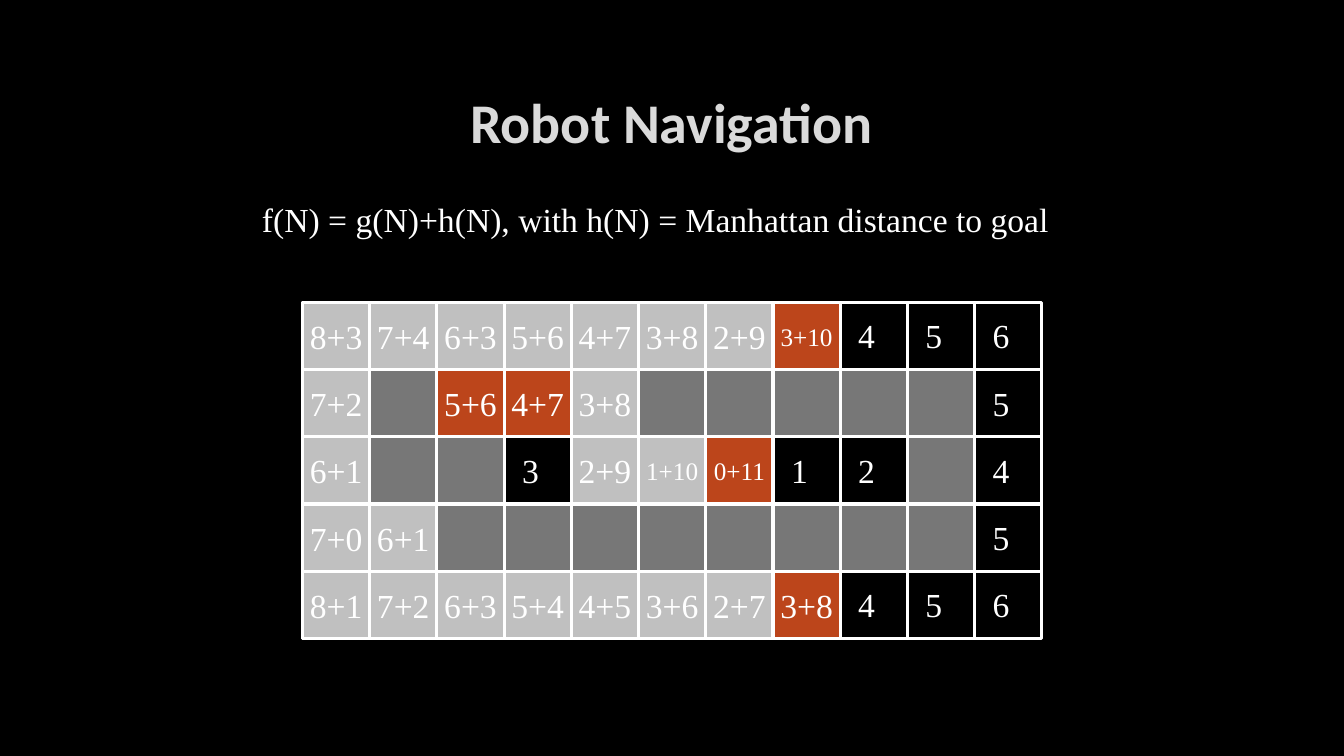
"""Build the Robot Navigation slide: a grid maze with f = g + h cell costs."""
from lxml import etree
from pptx import Presentation
from pptx.dml.color import RGBColor
from pptx.enum.shapes import MSO_CONNECTOR, MSO_SHAPE
from pptx.enum.text import MSO_ANCHOR, MSO_AUTO_SIZE, PP_ALIGN
from pptx.oxml.ns import qn
from pptx.util import Inches, Pt

BLACK = RGBColor(0x00, 0x00, 0x00)
WHITE = RGBColor(0xFF, 0xFF, 0xFF)
TITLE_GRAY = RGBColor(0xDA, 0xDA, 0xDA)
WALL_GRAY = RGBColor(0x77, 0x77, 0x77)
VISITED_GRAY = RGBColor(0xC0, 0xC0, 0xC0)
FRONTIER_ORANGE = RGBColor(0xBC, 0x45, 0x1B)

LEFT, TOP, CELL = 3, 3, 2 / 3
WALL, FRONTIER = "#", "*"
MAZE = [row.split() for row in (
    "8+3 7+4 6+3 5+6 4+7 3+8 2+9 *3+10 4 5 6",
    "7+2 # *5+6 *4+7 3+8 # # # # # 5",
    "6+1 # # 3 2+9 1+10 *0+11 1 2 # 4",
    "7+0 6+1 # # # # # # # # 5",
    "8+1 7+2 6+3 5+4 4+5 3+6 2+7 *3+8 4 5 6",
)]
RIGHT = LEFT + len(MAZE[0]) * CELL
BOTTOM = TOP + len(MAZE) * CELL

presentation = Presentation()
presentation.slide_width = Inches(13.33)
presentation.slide_height = Inches(7.5)
slide = presentation.slides.add_slide(presentation.slide_layouts[5])
slide.background.fill.solid()
slide.background.fill.fore_color.rgb = BLACK


def write_text(shape, text, size, alignment=PP_ALIGN.LEFT):
    frame = shape.text_frame
    frame.text = text
    frame.word_wrap = False
    paragraph = frame.paragraphs[0]
    paragraph.alignment = alignment
    paragraph.font.name = "Times New Roman"
    paragraph.font.size = Pt(size)
    paragraph.font.color.rgb = WHITE


def add_box(left, top, width, height, color=None):
    box = slide.shapes.add_shape(
        MSO_SHAPE.RECTANGLE, Inches(left), Inches(top), Inches(width), Inches(height))
    box.shadow.inherit = False
    box.line.color.rgb = WHITE
    box.line.width = Pt(2.25)
    if color is None:
        box.fill.background()
    else:
        box.fill.solid()
        box.fill.fore_color.rgb = color
    return box


title = slide.shapes.title
title.left, title.top = Inches(1), Inches(0.67)
title.width, title.height = Inches(11.32), Inches(1.06)
title.text_frame.text = "Robot Navigation"
title.text_frame.vertical_anchor = MSO_ANCHOR.MIDDLE
heading = title.text_frame.paragraphs[0]
heading.alignment = PP_ALIGN.CENTER
heading.font.name = "Calibri"
heading.font.size = Pt(40)
heading.font.bold = True
heading.font.color.rgb = TITLE_GRAY

formula = slide.shapes.add_textbox(Inches(2.5), Inches(1.92), Inches(8.08), Inches(0.5))
write_text(formula, "f(N) = g(N)+h(N), with h(N) = Manhattan distance to goal", 24)
formula.text_frame.auto_size = MSO_AUTO_SIZE.SHAPE_TO_FIT_TEXT

add_box(LEFT, TOP, RIGHT - LEFT, BOTTOM - TOP)
columns = [LEFT + i * CELL for i in range(1, len(MAZE[0]))]
rows = [TOP + i * CELL for i in range(1, len(MAZE))]
grid_lines = [(x, TOP, x, BOTTOM) for x in columns] + [(LEFT, y, RIGHT, y) for y in rows]
for ends in grid_lines:
    line = slide.shapes.add_connector(MSO_CONNECTOR.STRAIGHT, *map(Inches, ends))
    line.line.color.rgb = WHITE
    line.line.width = Pt(2.25)
    etree.SubElement(line._element.spPr, qn("a:effectLst"))

for row, entries in enumerate(MAZE):
    for column, entry in enumerate(entries):
        x, y = LEFT + column * CELL, TOP + row * CELL
        if entry == WALL:
            add_box(x, y, CELL, CELL, WALL_GRAY)
        elif "+" in entry:
            color = FRONTIER_ORANGE if entry.startswith(FRONTIER) else VISITED_GRAY
            cost = entry.lstrip(FRONTIER)
            cell = add_box(x, y, CELL, CELL, color)
            cell.text_frame.vertical_anchor = MSO_ANCHOR.MIDDLE
            write_text(cell, cost, 18 if len(cost) > 3 else 24, PP_ALIGN.CENTER)
        else:
            distance = slide.shapes.add_textbox(
                Inches(x + 0.08), Inches(y + 0.08), Inches(0.38), Inches(0.5))
            write_text(distance, entry, 24)
            distance.text_frame.auto_size = MSO_AUTO_SIZE.SHAPE_TO_FIT_TEXT

presentation.save("out.pptx")
